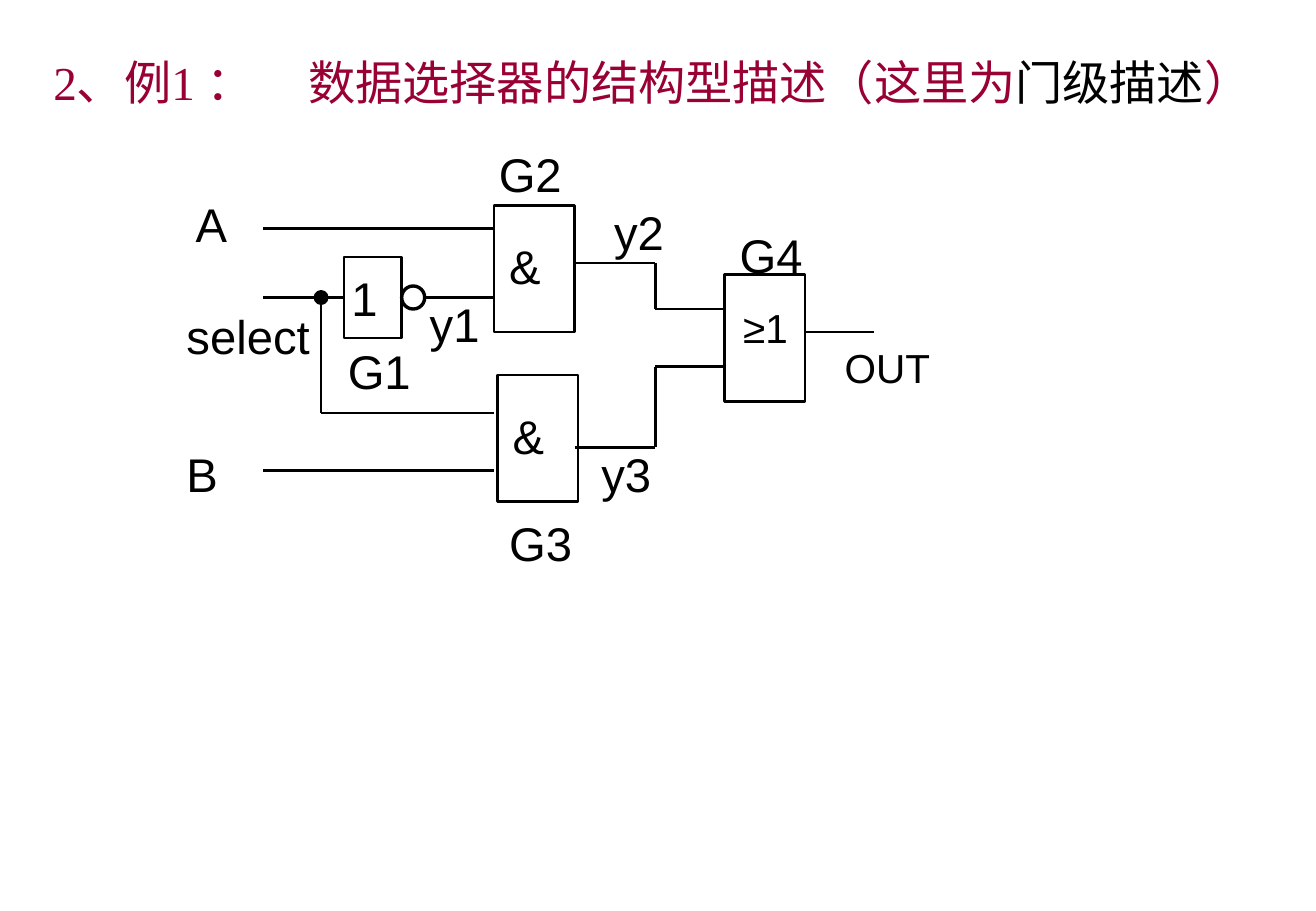
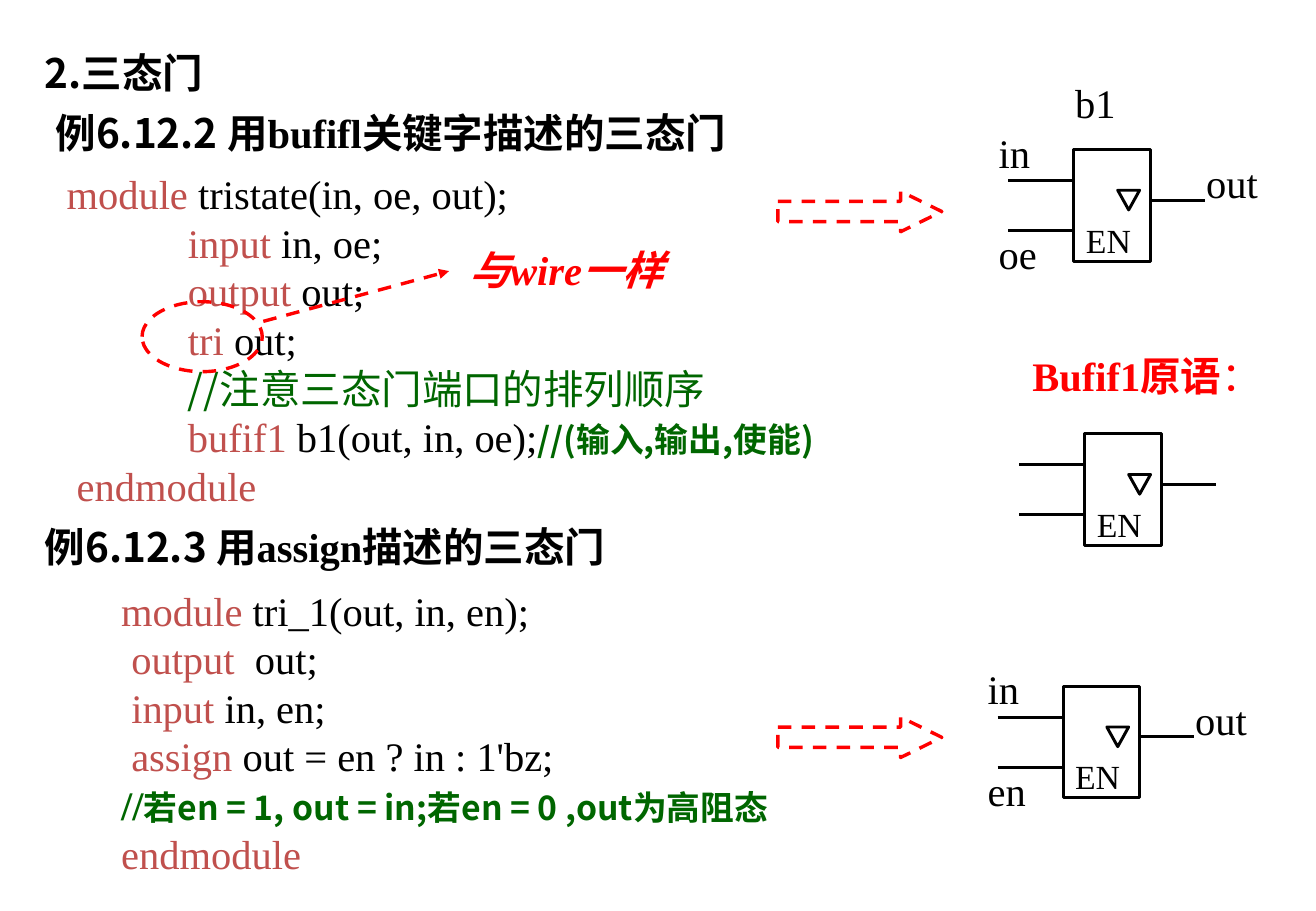
"""Build two slides on gate-level descriptions: a data selector and tri-state gates."""
import dataclasses
import itertools

import lxml.etree
import pptx
import pptx.dml.color
import pptx.enum.dml
import pptx.enum.shapes
import pptx.enum.text
import pptx.oxml.ns
import pptx.util

WIDTH, HEIGHT = 10.84, 7.5
COLORS = {"ink": "000000", "title": "990033", "keyword": "C0504D",
          "comment": "006600", "accent": "FF0000"}
SERIF, SANS, CJK = "Times New Roman", "Arial", "Noto Sans CJK SC"
LEADING = 1.2
SHAPES = pptx.enum.shapes.MSO_SHAPE


@dataclasses.dataclass
class Grid:
    """Square grid with its origin and cell size in inches."""
    left: float
    top: float
    cell: float

    def point(self, col, row):
        """Return the slide position of a grid point."""
        return (pptx.util.Inches(self.left + col * self.cell),
                pptx.util.Inches(self.top + row * self.cell))

    def box(self, col, row, cols, rows):
        """Return left, top, width and height of a grid area."""
        return (*self.point(col, row), pptx.util.Inches(cols * self.cell),
                pptx.util.Inches(rows * self.cell))


@dataclasses.dataclass
class Style:
    """Look of a run of text."""
    font: str = SERIF
    size: float = 24
    color: str = "ink"
    bold: bool = False
    italic: bool = False


CIRCUIT = Grid(2.17, 1.88, HEIGHT / 79)
PAGE = Grid(0, 0, 0.09)
PLAIN = Style()
TITLE = Style(size=28, color="title")
TITLE_INK = Style(size=28)
GATE = Style(SANS, 28)
GATE_SMALL = Style(SANS, 24)
HEADING = Style(CJK, bold=True)
HEADING_CODE = Style(bold=True)
KEYWORD = Style(color="keyword")
COMMENT = Style(CJK, color="comment")
COMMENT_MARK = Style(color="comment", bold=True)
COMMENT_BOLD = Style(CJK, 20, "comment", True)
ENABLE = Style(size=20)
REMARK = Style(color="accent", bold=True, italic=True)
PRIMITIVE = Style(color="accent", bold=True)
PRIMITIVE_COLON = Style(color="accent")


def rgb(name):
    """Return a named colour."""
    return pptx.dml.color.RGBColor.from_string(COLORS[name])


def write(frame, lines, margins=(0.1, 0.05), tab=None, anchor="TOP"):
    """Fill a text frame with lines, each a list of (text, style) runs."""
    side, edge = margins
    frame.margin_left = frame.margin_right = pptx.util.Inches(side)
    frame.margin_top = pptx.util.Inches(edge + 0.02)
    frame.margin_bottom = pptx.util.Inches(edge)
    frame.word_wrap = True
    frame.auto_size = pptx.enum.text.MSO_AUTO_SIZE.NONE
    frame.vertical_anchor = pptx.enum.text.MSO_ANCHOR[anchor]
    for index, line in enumerate(lines):
        paragraph = frame.paragraphs[0] if index == 0 else frame.add_paragraph()
        paragraph.alignment = pptx.enum.text.PP_ALIGN.LEFT
        size = max(style.size for _, style in line)
        paragraph.line_spacing = pptx.util.Pt(size * LEADING)
        if tab:
            properties = paragraph._p.get_or_add_pPr()
            stops = lxml.etree.SubElement(properties, pptx.oxml.ns.qn("a:tabLst"))
            lxml.etree.SubElement(stops, pptx.oxml.ns.qn("a:tab"),
                                  pos=str(pptx.util.Inches(tab)), algn="l")
        for text, style in line:
            run = paragraph.add_run()
            run.text = text
            font = run.font
            font.name, font.size = style.font, pptx.util.Pt(style.size)
            font.bold, font.italic = style.bold, style.italic
            font.color.rgb = rgb(style.color)
            latin = run._r.rPr.find(pptx.oxml.ns.qn("a:latin"))
            east_asian = lxml.etree.Element(pptx.oxml.ns.qn("a:ea"), typeface=CJK)
            latin.addnext(east_asian)


def add_text(slide, box, lines, **options):
    """Add a text box."""
    write(slide.shapes.add_textbox(*box).text_frame, lines, **options)


def add_title(slide, box, line, **options):
    """Move and fill the title placeholder."""
    title = slide.shapes.title
    title.left, title.top, title.width, title.height = box
    write(title.text_frame, [line], **options)


def set_line(line, width, color="ink", dashed=False):
    """Format an outline or a connector line."""
    line.color.rgb = rgb(color)
    line.width = pptx.util.Pt(width)
    if dashed:
        line.dash_style = pptx.enum.dml.MSO_LINE.DASH


def add_outline(slide, kind, box, width, color="ink", dashed=False, fill=None):
    """Add a preset shape, hollow unless a fill is named."""
    shape = slide.shapes.add_shape(kind, *box)
    shape.shadow.inherit = False
    if fill:
        shape.fill.solid()
        shape.fill.fore_color.rgb = rgb(fill)
    else:
        shape.fill.background()
    set_line(shape.line, width, color, dashed)
    return shape


def add_wire(slide, grid, points, width, color="ink", dashed=False, arrow=False):
    """Join grid points with straight connectors."""
    for start, end in itertools.pairwise(points):
        wire = slide.shapes.add_connector(
            pptx.enum.shapes.MSO_CONNECTOR.STRAIGHT,
            *grid.point(*start), *grid.point(*end))
        set_line(wire.line, width, color, dashed)
        properties = wire._element.spPr
        lxml.etree.SubElement(properties, pptx.oxml.ns.qn("a:effectLst"))
        if arrow:
            lxml.etree.SubElement(wire.line._get_or_add_ln(),
                                  pptx.oxml.ns.qn("a:tailEnd"), type="triangle")


def add_circuit_label(slide, col, row, text, style=GATE, cols=6.9):
    """Add a label of the selector circuit."""
    add_text(slide, CIRCUIT.box(col, row, cols, 5), [[(text, style)]],
             margins=(0.06, 0.03))


def add_gate(slide, box, symbol, offset, style=GATE):
    """Add a logic gate with its symbol."""
    add_outline(slide, SHAPES.RECTANGLE, CIRCUIT.box(*box), 1.5)
    add_circuit_label(slide, box[0] + offset[0], box[1] + offset[1], symbol, style)


def add_buffer(slide, col, row, labels=()):
    """Add a tri-state buffer with pins and (col, row, cols, text) labels."""
    add_outline(slide, SHAPES.RECTANGLE, PAGE.box(col, row, 7, 10.2), 1.75)
    marker = add_outline(slide, SHAPES.ISOSCELES_TRIANGLE,
                         PAGE.box(col + 4, row + 3.7, 2, 1.8), 1.75)
    marker.rotation = 180
    for start, end, pin in ((7, 12, 4.6), (-6, 0, 2.8), (-6, 0, 7.4)):
        add_wire(slide, PAGE, [(col + start, row + pin), (col + end, row + pin)], 1.75)
    add_text(slide, PAGE.box(col, row + 5.6, 6.9, 4.9), [[("EN", ENABLE)]])
    for right, down, cols, text in labels:
        add_text(slide, PAGE.box(col + right, row + down, cols, 5.6), [[(text, PLAIN)]])


def pin_labels(enable):
    """Return the labels of a buffer's pins."""
    return [(11, 0, 7.3, "out"), (-8, -2.8, 5.6, "in"), (-8, 6.5, 6.2, enable)]


def build_selector(slide):
    """Draw the data selector circuit."""
    add_title(slide, Grid(0, 0, 1).box(0.34, 0.38, 10.3, 0.57),
              [("2、例1 ：\t数据选择器的结构型描述（这里为", TITLE),
               ("门级描述", TITLE_INK), ("）", TITLE)], tab=2.1, anchor="MIDDLE")
    add_gate(slide, (20, -2, 7, 11), "&", (0.7, 2.3))
    add_gate(slide, (40, 4, 7, 11), "≥1", (1, 2), GATE_SMALL)
    add_gate(slide, (20.3, 12.7, 7, 11), "&", (0.7, 2.3))
    add_gate(slide, (7, 2.5, 5, 7), "1", (0, 0.5))
    add_outline(slide, SHAPES.OVAL, CIRCUIT.box(12, 5, 2, 2), 2)
    add_outline(slide, SHAPES.OVAL, CIRCUIT.box(4.5, 5.5, 1, 1), 2, fill="ink")
    for wire in ([(0, 0), (20, 0)], [(0, 6), (7, 6)], [(14, 6), (20, 6)],
                 [(5, 6), (5, 16), (20, 16)], [(0, 21), (20, 21)],
                 [(27, 3), (34, 3), (34, 7), (40, 7)],
                 [(27, 19), (34, 19), (34, 12), (40, 12)], [(47, 9), (53, 9)]):
        add_wire(slide, CIRCUIT, wire, 1.5)
    for col, row, name in ((-6.5, -3.4, "A"), (-7.3, 18.3, "B"),
                           (13.8, 5.3, "y1"), (29.8, -2.7, "y2"), (28.7, 18.3, "y3"),
                           (6.7, 9.4, "G1"), (19.8, -7.7, "G2"),
                           (20.7, 24.3, "G3"), (40.7, -0.7, "G4")):
        add_circuit_label(slide, col, row, name)
    add_circuit_label(slide, -7.3, 6.3, "select", cols=12.6)
    add_circuit_label(slide, 49.8, 9.4, "OUT", GATE_SMALL, cols=9.3)


def build_tristate(slide):
    """Show the two tri-state gate descriptions with their symbols."""
    add_title(slide, PAGE.box(3, 3.6, 24, 5.6), [("2.三态门", HEADING)])
    for col, row, number, keyword, ending in (
            (4, 9.1, "例6.12.2 用", "bufifl", "关键字描述的三态门"),
            (3, 47, "例6.12.3 用", "assign", "描述的三态门")):
        add_text(slide, PAGE.box(col, row, 73.2, 5.6),
                 [[(number, HEADING), (keyword, HEADING_CODE), (ending, HEADING)]])
    add_text(slide, PAGE.box(5, 14.7, 88.2, 32.2), [
        [("module", KEYWORD), (" tristate(in, oe, out);", PLAIN)],
        [("\tinput", KEYWORD), (" in, oe;", PLAIN)],
        [("\toutput", KEYWORD), (" out;", PLAIN)],
        [("\ttri", KEYWORD), (" out;", PLAIN)],
        [("\t//注意三态门端口的排列顺序", COMMENT)],
        [("\tbufif1", KEYWORD), (" b1(out, in, oe);", PLAIN),
         ("//(输入,输出,使能)", COMMENT_BOLD)],
        [(" endmodule", KEYWORD)]], tab=1)
    add_text(slide, PAGE.box(10, 52.8, 72.2, 30), [
        [("module ", KEYWORD), ("tri_1(out, in, en);", PLAIN)],
        [(" output", KEYWORD), ("  out;", PLAIN)],
        [(" input", KEYWORD), (" in, en;", PLAIN)],
        [(" assign", KEYWORD), (" out = en ? in : 1'bz;", PLAIN)],
        [("//", COMMENT_MARK),
         ("若en = 1, out = in;若en = 0 ,out为高阻态", COMMENT_BOLD)],
        [("endmodule", KEYWORD)]])
    add_buffer(slide, 98.3, 13.7, pin_labels("oe") + [(-1, -7.3, 6.2, "b1")])
    add_buffer(slide, 99.3, 39.7)
    add_buffer(slide, 97.3, 62.8, pin_labels("en"))
    add_text(slide, PAGE.box(93.4, 31.3, 24.1, 5.6),
             [[("Bufif1原语", PRIMITIVE), ("：", PRIMITIVE_COLON)]])
    for row in (17.5, 65.6):
        pointer = add_outline(slide, SHAPES.RIGHT_ARROW,
                              PAGE.box(71.2, row, 15, 3.7), 2, "accent", True)
        pointer.adjustments[1] = 1.02
    add_outline(slide, SHAPES.OVAL, PAGE.box(13, 27.6, 11, 6.4), 2, "accent", True)
    add_wire(slide, PAGE, [(24.1, 29.4), (41.1, 24.8)], 2, "accent", True, True)
    add_text(slide, PAGE.box(41.9, 21.6, 26.3, 5.6), [[("与wire一样", REMARK)]])


def main():
    """Build and save the presentation."""
    deck = pptx.Presentation()
    deck.slide_width = pptx.util.Inches(WIDTH)
    deck.slide_height = pptx.util.Inches(HEIGHT)
    title_only = deck.slide_layouts[5]
    for build in (build_selector, build_tristate):
        build(deck.slides.add_slide(title_only))
    deck.save("out.pptx")


if __name__ == "__main__":
    main()
